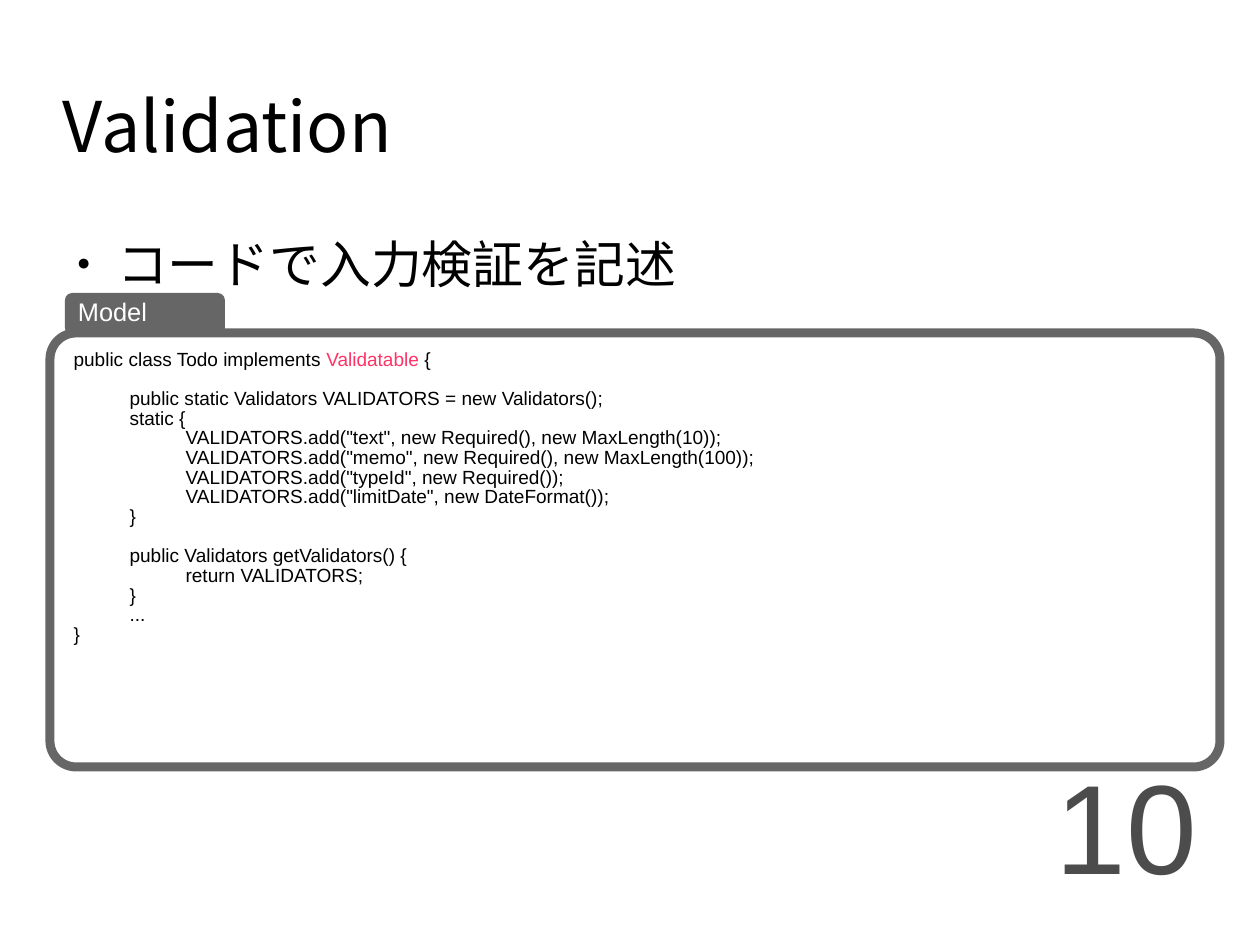
from pptx import Presentation
from pptx.dml.color import RGBColor
from pptx.enum.shapes import MSO_SHAPE
from pptx.enum.text import MSO_ANCHOR, MSO_AUTO_SIZE, PP_ALIGN
from pptx.util import Emu, Pt
from lxml.etree import SubElement
from pptx.oxml.ns import qn

# Content
TITLE = "Validation"
BULLET = "コードで入力検証を記述"
TAB_LABEL = "Model"
PAGE = "10"
HIGHLIGHT = "Validatable "
CODE_BLOCKS = [
    ["public class Todo implements Validatable {"],
    ["\tpublic static Validators VALIDATORS = new Validators();",
     "\tstatic {",
     '\t\tVALIDATORS.add("text", new Required(), new MaxLength(10));',
     '\t\tVALIDATORS.add("memo", new Required(), new MaxLength(100));',
     '\t\tVALIDATORS.add("typeId", new Required());',
     '\t\tVALIDATORS.add("limitDate", new DateFormat());',
     "\t}"],
    ["\tpublic Validators getValidators() {",
     "\t\treturn VALIDATORS;",
     "\t}",
     "\t...",
     "}"],
]

# Format: places are left, top, width, height in px
SIZE = (1260, 945)
TITLE_BOX = (63, 37, 1134, 159)
BODY_BOX = (63, 221, 1134, 613)
CODE_BOX = (50, 333, 1170, 434)
TAB_BOX = (65, 293, 160, 42)
PAGE_BOX = (743, 765, 454, 161)
TAB_STEP = 56
BLANK_LINE = Pt(12.4)
GRAY, BLACK, WHITE, PINK = "666666", "000000", "FFFFFF", "FF3366"
JP, LATIN = "Noto Sans CJK JP", "Arial"


def px(n):
    return Emu(n * 8000)


def rgb(value):
    return RGBColor.from_string(value)


def place(sp, box):
    for name, n in zip(("left", "top", "width", "height"), box):
        setattr(sp, name, px(n))


def set_frame(sp, inset=(0, 0), anchor=MSO_ANCHOR.TOP):
    tf = sp.text_frame
    x, y = map(px, inset)
    values = dict(word_wrap=True, auto_size=MSO_AUTO_SIZE.NONE, vertical_anchor=anchor,
                  margin_left=x, margin_right=x, margin_top=y, margin_bottom=y)
    for name, value in values.items():
        setattr(tf, name, value)
    return tf


def set_paragraph(p, spacing, align=PP_ALIGN.LEFT, after=Pt(0)):
    values = dict(alignment=align, line_spacing=spacing, space_before=Pt(0), space_after=after)
    for name, value in values.items():
        setattr(p, name, value)


def add_run(p, text, size, color, font=LATIN):
    r = p.add_run()
    r.text = text
    for name, value in dict(size=Pt(size), name=font, bold=False).items():
        setattr(r.font, name, value)
    r.font.color.rgb = rgb(color)
    SubElement(r.font._element, qn("a:ea"), typeface=font)


def add_panel(slide, box, corner):
    sp = slide.shapes.add_shape(MSO_SHAPE.ROUNDED_RECTANGLE, *map(px, box))
    sp.adjustments[0] = corner
    sp.shadow.inherit = False
    return sp


def add_tabs(p):
    tabs = SubElement(p._p.get_or_add_pPr(), qn("a:tabLst"))
    for i in range(1, 8):
        SubElement(tabs, qn("a:tab"), pos=str(px(i * TAB_STEP)), algn="l")


def set_bullet(p, color, percent, char):
    pPr = p._p.get_or_add_pPr()
    pPr.set("marL", str(px(54)))
    pPr.set("indent", str(px(-40)))
    SubElement(SubElement(pPr, qn("a:buClr")), qn("a:srgbClr"), val=color)
    SubElement(pPr, qn("a:buSzPct"), val=str(percent * 1000))
    SubElement(pPr, qn("a:buChar"), char=char)


def main():
    prs = Presentation()
    prs.slide_width, prs.slide_height = map(px, SIZE)
    slide = prs.slides.add_slide(prs.slide_layouts[1])

    # Title
    title, body = slide.placeholders
    place(title, TITLE_BOX)
    p = set_frame(title, anchor=MSO_ANCHOR.MIDDLE).paragraphs[0]
    set_paragraph(p, 1.19)
    add_run(p, TITLE, 44, BLACK, JP)

    # Bulleted statement
    place(body, BODY_BOX)
    p = set_frame(body).paragraphs[0]
    set_paragraph(p, 1.19, after=Pt(14.3))
    set_bullet(p, BLACK, 45, "●")
    add_run(p, BULLET, 32, BLACK, JP)

    # Code panel
    sp = add_panel(slide, CODE_BOX, 0.06)
    sp.fill.background()
    sp.line.color.rgb = rgb(GRAY)
    sp.line.width = Pt(5.67)
    tf = set_frame(sp, (16, 10))
    p = tf.paragraphs[0]
    for block in CODE_BLOCKS:
        for line in block:
            if p.runs:
                p = tf.add_paragraph()
            ends_block = line is block[-1] and block is not CODE_BLOCKS[-1]
            set_paragraph(p, 0.86, after=BLANK_LINE if ends_block else Pt(0))
            add_tabs(p)
            before, mark, rest = line.partition(HIGHLIGHT)
            for text, color in ((before, BLACK), (mark, PINK), (rest, BLACK)):
                if text:
                    add_run(p, text, 12, color)

    # Panel tab
    sp = add_panel(slide, TAB_BOX, 0.17)
    sp.fill.solid()
    sp.fill.fore_color.rgb = rgb(GRAY)
    sp.line.fill.background()
    p = set_frame(sp, (11, 6), MSO_ANCHOR.MIDDLE).paragraphs[0]
    set_paragraph(p, 0.86)
    add_run(p, TAB_LABEL, 16, WHITE)

    # Page number
    sp = slide.shapes.add_textbox(*map(px, PAGE_BOX))
    p = set_frame(sp).paragraphs[0]
    set_paragraph(p, 0.9, PP_ALIGN.RIGHT)
    add_run(p, PAGE, 80, "4C4C4C")

    prs.save("out.pptx")


if __name__ == "__main__":
    main()
